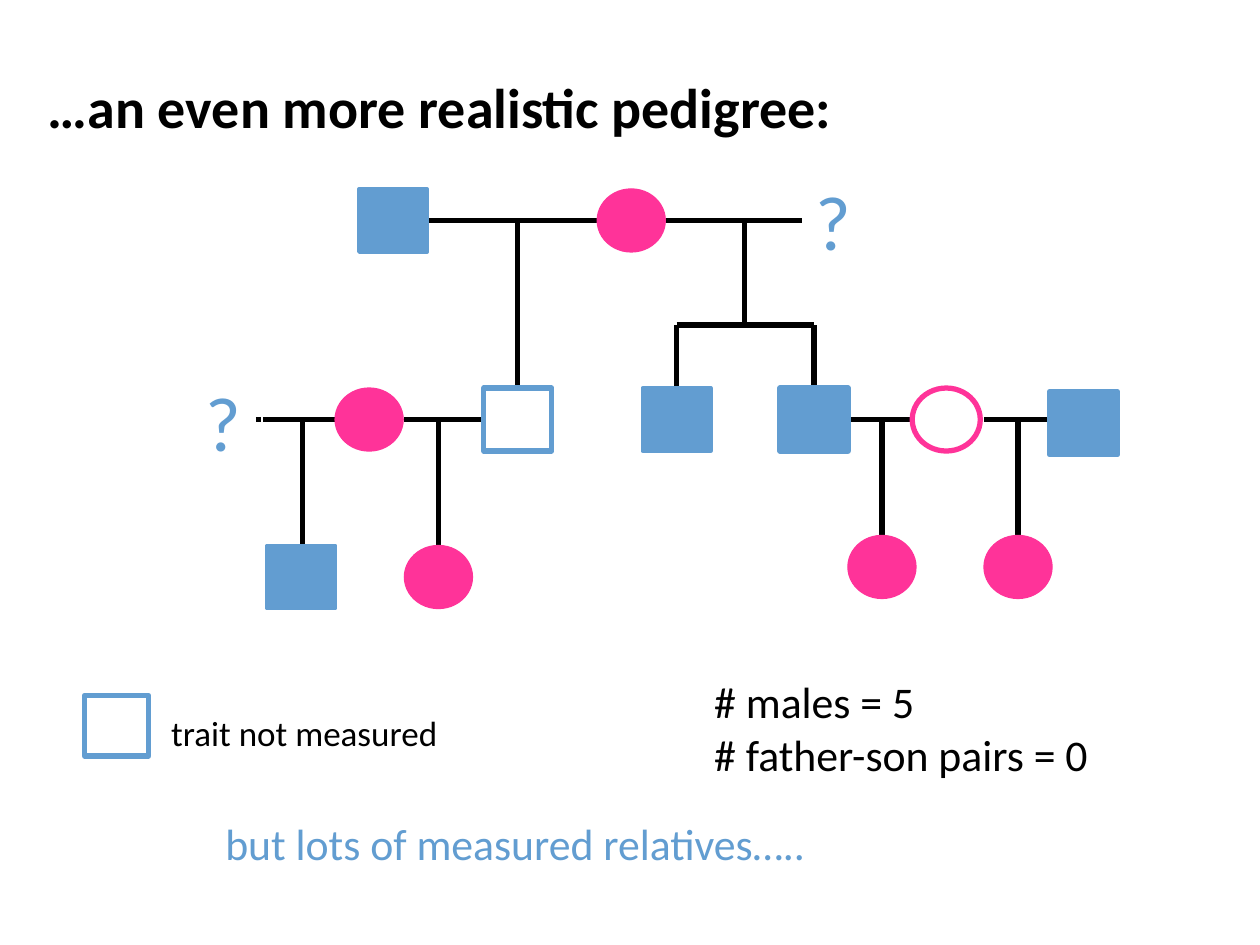
from pptx import Presentation
from pptx.dml.color import RGBColor
from pptx.enum.shapes import MSO_CONNECTOR, MSO_SHAPE
from pptx.enum.text import MSO_ANCHOR, MSO_AUTO_SIZE, PP_ALIGN
from pptx.oxml.ns import qn
from pptx.util import Inches, Pt

BLUE = RGBColor(0x62, 0x9D, 0xD1)
PINK = RGBColor(0xFF, 0x33, 0x99)
BLACK = RGBColor(0, 0, 0)
WHITE = RGBColor(0xFF, 0xFF, 0xFF)
FONT = "Calibri"
SYMBOL_SIZE = (0.54, 0.5)
LEGEND_SIZE = (0.51, 0.48)

TITLE = "…an even more realistic pedigree:"

# sex, measured, left, top, outline width
PEOPLE = [
    ("male", True, 2.85, 1.5, 2.25),
    ("female", True, 4.74, 1.5, 0.75),
    ("female", True, 2.66, 3.08, 0.75),
    ("male", False, 3.84, 3.08, 3),
    ("male", True, 5.1, 3.08, 2.25),
    ("male", True, 6.19, 3.08, 3),
    ("female", False, 7.24, 3.08, 3),
    ("male", True, 8.33, 3.11, 3),
    ("male", True, 2.12, 4.33, 2.25),
    ("female", True, 3.21, 4.33, 0.75),
    ("female", True, 6.73, 4.25, 0.75),
    ("female", True, 7.81, 4.25, 0.75),
]

# left, right, height on the page
COUPLES = [
    (3.39, 4.74, 1.75), (5.28, 6.37, 1.75),
    (2.03, 2.66, 3.33), (3.21, 3.84, 3.33),
    (6.73, 7.27, 3.33), (7.81, 8.35, 3.33),
]
SIBLINGS = [(5.37, 6.46, 2.58)]

# across, top, bottom
DESCENTS = [
    (4.11, 1.75, 3.08), (5.91, 1.75, 2.58),
    (5.37, 2.58, 3.08), (6.46, 2.58, 3.08),
    (2.4, 3.33, 4.33), (3.48, 3.33, 4.33),
    (7, 3.33, 4.25), (8.08, 3.33, 4.25),
]

# lines of text, left, top, width, height, size, colour, outline
LABELS = [
    (["?"], 6.37, 1.33, 0.55, 0.84, 44, BLUE, WHITE),
    (["?"], 1.53, 2.92, 0.55, 0.84, 44, BLUE, WHITE),
    (["trait not measured"], 1.26, 5.6, 2.45, 0.44, 20, BLACK, WHITE),
    (["# males = 5", "# father-son pairs = 0"],
     5.57, 5.31, 3.49, 0.93, 25, BLACK, None),
    (["but lots of measured relatives….."],
     1.69, 6.43, 5.3, 0.52, 25, BLUE, None),
]


def add_span(para, text, size, color, bold=False):
    span = para.add_run()
    span.text = text
    span.font.name = FONT
    span.font.size = Pt(size)
    span.font.bold = bold
    span.font.color.rgb = color


def add_title(page):
    title = page.shapes.title
    title.left, title.top = Inches(0.28), Inches(0.25)
    title.width, title.height = Inches(8.5), Inches(1.25)
    title.text_frame.vertical_anchor = MSO_ANCHOR.MIDDLE
    para = title.text_frame.paragraphs[0]
    para.alignment = PP_ALIGN.LEFT
    para.line_spacing = 0.9
    add_span(para, TITLE, 32, BLACK, bold=True)


def add_line(page, x1, y1, x2, y2):
    line = page.shapes.add_connector(
        MSO_CONNECTOR.STRAIGHT, *map(Inches, (x1, y1, x2, y2)))
    line.line.color.rgb = BLACK
    line.line.width = Pt(3)
    properties = line._element.spPr
    properties.append(properties.makeelement(qn("a:effectLst"), {}))


def add_person(page, sex, measured, left, top, outline, size=SYMBOL_SIZE):
    kind, color = {"male": (MSO_SHAPE.RECTANGLE, BLUE),
                   "female": (MSO_SHAPE.OVAL, PINK)}[sex]
    symbol = page.shapes.add_shape(kind, *map(Inches, (left, top, *size)))
    symbol.shadow.inherit = False
    symbol.fill.solid()
    symbol.fill.fore_color.rgb = color if measured else WHITE
    symbol.line.color.rgb = color
    symbol.line.width = Pt(outline)


def add_label(page, lines, left, top, width, height, size, color, outline):
    box = page.shapes.add_textbox(*map(Inches, (left, top, width, height)))
    if outline is not None:
        box.line.color.rgb = outline
        box.line.width = Pt(0.75)
    frame = box.text_frame
    frame.word_wrap = False
    frame.auto_size = MSO_AUTO_SIZE.SHAPE_TO_FIT_TEXT
    for index, text in enumerate(lines):
        para = frame.add_paragraph() if index else frame.paragraphs[0]
        add_span(para, text, size, color)


def main():
    deck = Presentation()
    deck.slide_width, deck.slide_height = Inches(10), Inches(7.5)
    page = deck.slides.add_slide(deck.slide_layouts[5])
    add_title(page)
    for left, right, y in COUPLES + SIBLINGS:
        add_line(page, left, y, right, y)
    for x, top, bottom in DESCENTS:
        add_line(page, x, top, x, bottom)
    for person in PEOPLE:
        add_person(page, *person)
    add_person(page, "male", False, 0.67, 5.52, 3, LEGEND_SIZE)
    for label in LABELS:
        add_label(page, *label)
    deck.save("out.pptx")


if __name__ == "__main__":
    main()
